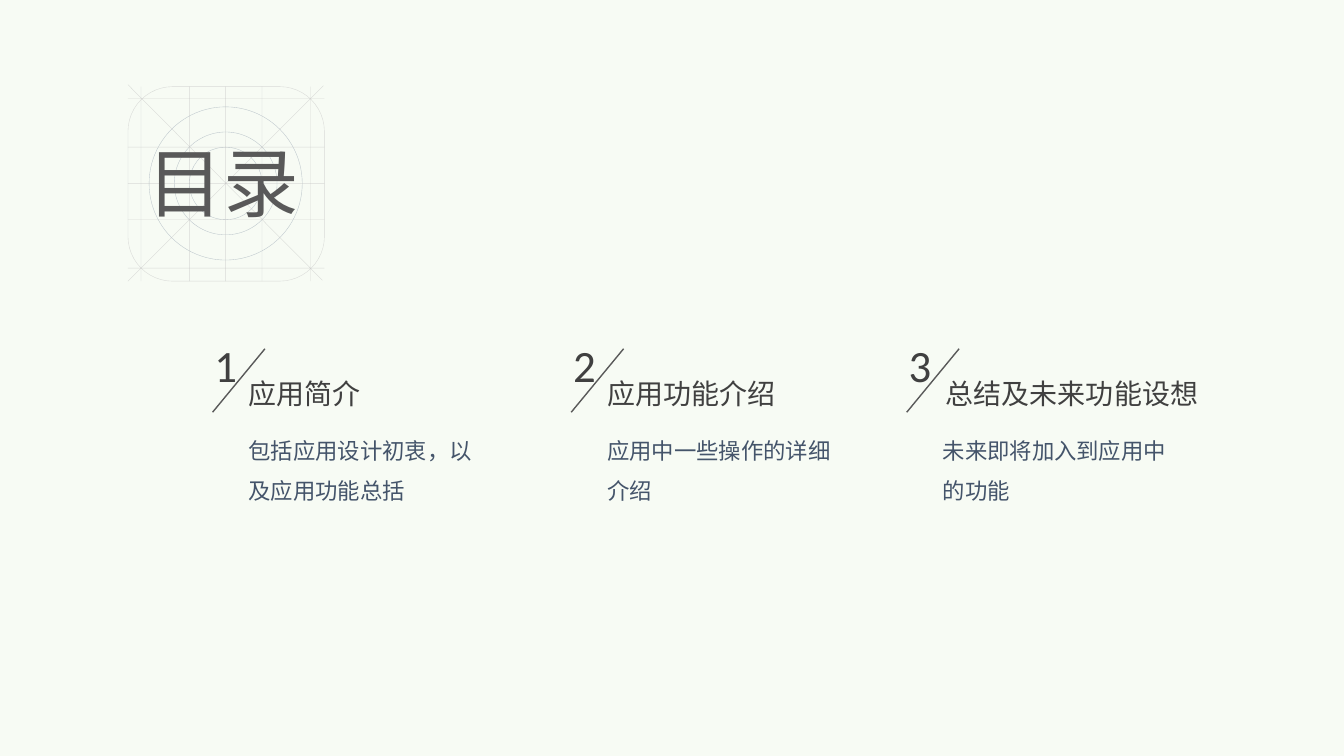
"""Build the contents slide with a construction-grid emblem and three entries."""
from lxml.etree import SubElement
from pptx import Presentation
from pptx.dml.color import RGBColor
from pptx.enum.shapes import MSO_CONNECTOR, MSO_SHAPE
from pptx.oxml.ns import qn
from pptx.util import Inches, Pt

HEADING = "目录"
ENTRIES = [
    {"left": 2.03, "title": "应用简介", "title_shift": 0.34, "title_width": 2.26,
     "detail": "包括应用设计初衷，以及应用功能总括"},
    {"left": 5.59, "title": "应用功能介绍", "title_shift": 0.34, "title_width": 2.26,
     "detail": "应用中一些操作的详细介绍"},
    {"left": 8.92, "title": "总结及未来功能设想", "title_shift": 0.37, "title_width": 2.86,
     "detail": "未来即将加入到应用中的功能"},
]
CJK_FONT = "Noto Sans CJK SC"
LATIN_FONT = "Calibri"
BACKGROUND = "F7FBF4"
GRID_COLOR, CIRCLE_COLOR = "BFBFBF", "B4BEC6"
DARK, GRAY, BLUE_GRAY = "404040", "595959", "44546A"

EMBLEM_LEFT, EMBLEM_TOP, EMBLEM_WIDTH, EMBLEM_HEIGHT = 1.27, 0.86, 1.95, 1.93
CENTER_X, CENTER_Y = 2.24, 1.82
GRID_OFFSETS = (-0.84, -0.36, 0, 0.36, 0.84)
CIRCLE_RADII = (0.76, 0.51, 0.36)


def color(hex_value):
    return RGBColor.from_string(hex_value)


def style_line(shape, hex_value, width, opacity=100):
    shape.line.color.rgb = color(hex_value)
    shape.line.width = Pt(width)
    if opacity < 100:
        line_color = shape.line.fill._xPr.find(".//" + qn("a:srgbClr"))
        SubElement(line_color, qn("a:alpha"), val=str(opacity * 1000))


def add_line(slide, start, end, hex_value=GRID_COLOR, width=0.25, opacity=55):
    points = [Inches(value) for value in (*start, *end)]
    connector = slide.shapes.add_connector(MSO_CONNECTOR.STRAIGHT, *points)
    style_line(connector, hex_value, width, opacity)
    SubElement(connector._element.spPr, qn("a:effectLst"))


def add_outline(slide, kind, left, top, width, height, hex_value, opacity):
    box = [Inches(value) for value in (left, top, width, height)]
    shape = slide.shapes.add_shape(kind, *box)
    shape.shadow.inherit = False
    shape.fill.background()
    style_line(shape, hex_value, 0.25, opacity)
    return shape


def add_text(slide, text, left, top, width, height, size, hex_value,
             font=CJK_FONT, spacing=None):
    box = [Inches(value) for value in (left, top, width, height)]
    frame = slide.shapes.add_textbox(*box).text_frame
    frame.word_wrap = True
    paragraph = frame.paragraphs[0]
    if spacing:
        paragraph.line_spacing = spacing
    run = paragraph.add_run()
    run.text = text
    run.font.name = font
    run.font.size = Pt(size)
    run.font.color.rgb = color(hex_value)
    SubElement(run.font._element, qn("a:ea"), typeface=CJK_FONT)


def add_emblem(slide):
    right = EMBLEM_LEFT + EMBLEM_WIDTH
    bottom = EMBLEM_TOP + EMBLEM_HEIGHT
    for radius in CIRCLE_RADII:
        add_outline(slide, MSO_SHAPE.OVAL, CENTER_X - radius, CENTER_Y - radius,
                    2 * radius, 2 * radius, CIRCLE_COLOR, 85)
    frame = add_outline(slide, MSO_SHAPE.ROUNDED_RECTANGLE, EMBLEM_LEFT, EMBLEM_TOP,
                        EMBLEM_WIDTH, EMBLEM_HEIGHT, GRID_COLOR, 55)
    frame.adjustments[0] = 0.23
    for offset in GRID_OFFSETS:
        x, y = CENTER_X + offset, CENTER_Y + offset
        add_line(slide, (x, EMBLEM_TOP), (x, bottom))
        add_line(slide, (EMBLEM_LEFT, y), (right, y))
    add_line(slide, (EMBLEM_LEFT, 0.84), (3.2, 2.78))
    add_line(slide, (EMBLEM_LEFT, bottom), (3.21, 0.85))


def add_entry(slide, number, entry):
    left = entry["left"]
    add_text(slide, str(number), left, 3.3, 0.45, 0.64, 32, DARK, font=LATIN_FONT)
    add_line(slide, (left + 0.6, 3.46), (left + 0.08, 4.09), GRAY, 1, 100)
    add_text(slide, entry["title"], left + entry["title_shift"], 3.69,
             entry["title_width"], 0.44, 20, DARK)
    add_text(slide, entry["detail"], left + 0.34, 4.15, 2.53, 0.9, 16, BLUE_GRAY,
             font=LATIN_FONT, spacing=1.5)


def main():
    presentation = Presentation()
    presentation.slide_width = Inches(13.34)
    presentation.slide_height = Inches(7.5)
    slide = presentation.slides.add_slide(presentation.slide_layouts[6])
    slide.background.fill.solid()
    slide.background.fill.fore_color.rgb = color(BACKGROUND)
    add_emblem(slide)
    add_text(slide, HEADING, 1.37, 1.3, 1.78, 1, 54, GRAY)
    for number, entry in enumerate(ENTRIES, start=1):
        add_entry(slide, number, entry)
    presentation.save("out.pptx")


if __name__ == "__main__":
    main()
